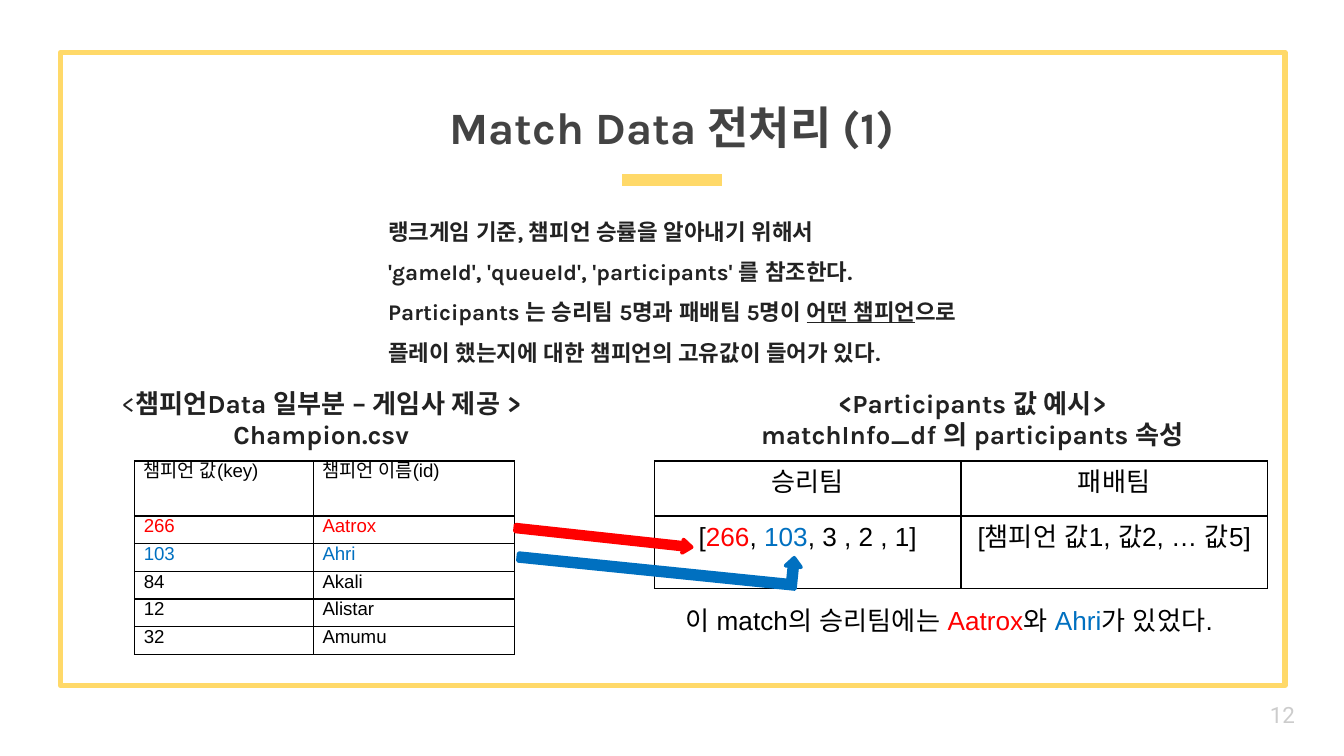
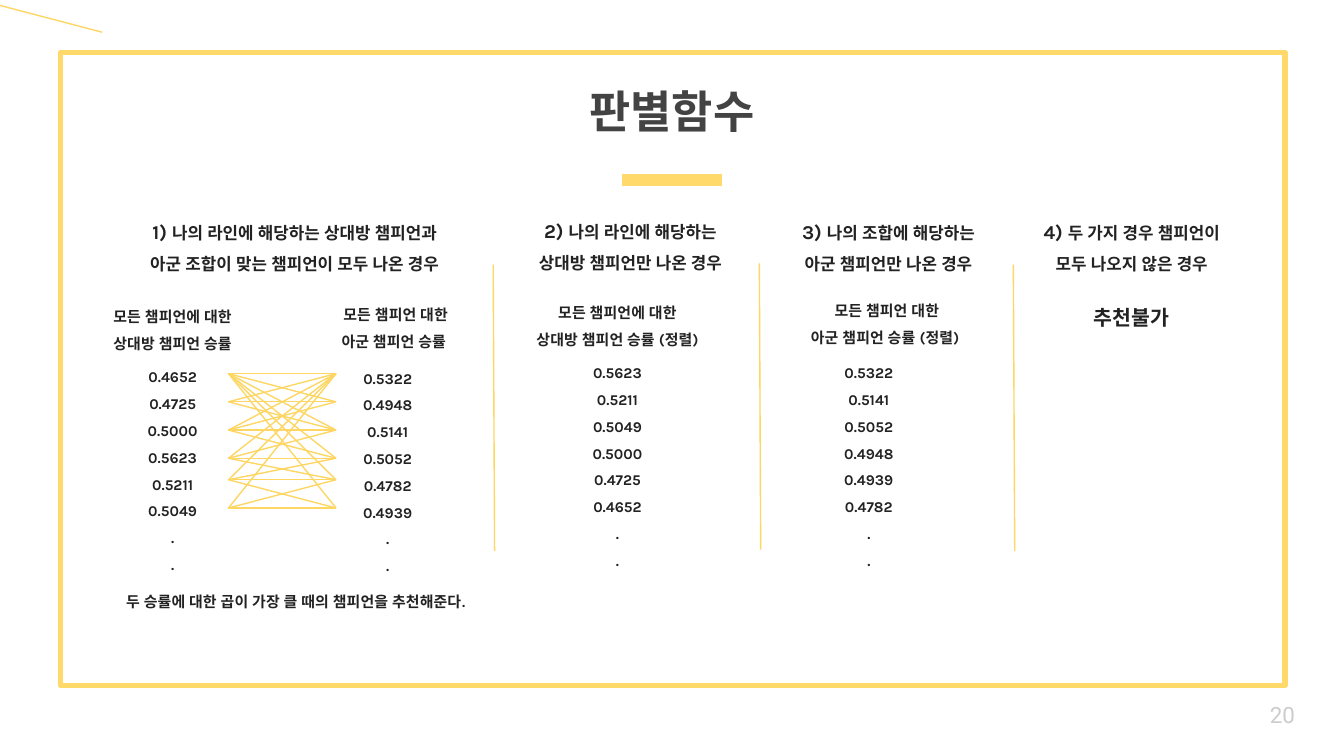
from dataclasses import dataclass

from lxml import etree
from pptx import Presentation
from pptx.dml.color import RGBColor
from pptx.enum.shapes import MSO_CONNECTOR, MSO_SHAPE
from pptx.enum.text import MSO_ANCHOR, MSO_AUTO_SIZE, PP_ALIGN
from pptx.oxml.ns import qn
from pptx.util import Inches, Pt

STRAIGHT = MSO_CONNECTOR.STRAIGHT
RECT, ARROW, BENT = MSO_SHAPE.RECTANGLE, MSO_SHAPE.RIGHT_ARROW, MSO_SHAPE.BENT_UP_ARROW
TOP, MIDDLE, BOTTOM = MSO_ANCHOR.TOP, MSO_ANCHOR.MIDDLE, MSO_ANCHOR.BOTTOM
NO_FIT = MSO_AUTO_SIZE.NONE
LEFT, CENTER, JUSTIFY = PP_ALIGN.LEFT, PP_ALIGN.CENTER, PP_ALIGN.JUSTIFY


@dataclass(frozen=True)
class Theme:
    frame: str = "FFD969"
    link: str = "FDD663"
    title: str = "434343"
    text: str = "222222"
    black: str = "000000"
    number: str = "CCCCCC"
    red: str = "FF0000"
    blue: str = "0070C0"
    heading_font: str = "Karla"
    plain_font: str = "Arial"
    number_font: str = "Roboto"
    title_size: float = 24
    caption_size: float = 14
    lead_size: float = 12
    number_size: float = 12
    verdict_size: float = 11
    ordinal_size: float = 10.5
    cell_size: float = 10
    case_size: float = 9
    value_size: float = 8


T = Theme()


def style(size, color=T.text, name=T.heading_font, bold=True):
    return {"size": size, "color": color, "name": name, "bold": bold}


TITLE = style(T.title_size, T.title)
CAPTION = style(T.caption_size)
LEAD = style(T.lead_size)
CASE = style(T.case_size)
VALUE = style(T.value_size)
VERDICT = style(T.verdict_size)
NUMBER = style(T.number_size, T.number, T.number_font, False)
CELL = style(T.cell_size, T.black, T.plain_font, False)
PLAIN = style(T.caption_size, T.black, T.plain_font, False)
RED, BLUE = {"color": T.red}, {"color": T.blue}

PAD = (0.1, 0.1)
CAPTION_INDENT = (0.15, 0)
HANGING = (0.5, -0.35)

CHAMPIONS = (
    ("챔피언 값(key)", "챔피언 이름(id)"),
    ("266", "Aatrox"),
    ("103", "Ahri"),
    ("84", "Akali"),
    ("12", "Alistar"),
    ("32", "Amumu"),
)
CHAMPION_ROW = (1.44 - 0.41) / 5
TEAMS = (
    ("승리팀", "패배팀"),
    (["[", ("266", RED), ", ", ("103", BLUE), ", 3 , 2 , 1]"],
     "[챔피언 값1, 값2, … 값5]"),
)
CASES = (
    (0.54, 1.45, 3.15, "1) ", "나의 라인에 해당하는 상대방 챔피언과", "아군 조합이 맞는 챔피언이 모두 나온 경우"),
    (3.53, 1.44, 2.17, "2) ", "나의 라인에 해당하는", "상대방 챔피언만 나온 경우"),
    (5.45, 1.45, 2.17, "3) ", "나의 조합에 해당하는", "아군 챔피언만 나온 경우"),
    (7.26, 1.45, 2.17, "4) ", "두 가지 경우 챔피언이", "모두 나오지 않은 경우"),
)
RATE_HEADINGS = (
    (0.37, 2.12, 1.68, "모든 챔피언에 대한", "상대방 챔피언 승률"),
    (2.03, 2.11, 1.68, "모든 챔피언 대한", "아군 챔피언 승률 "),
    (3.68, 2.09, 1.68, "모든 챔피언에 대한", "상대방 챔피언 승률 (정렬)"),
    (5.61, 2.08, 1.83, "모든 챔피언 대한", "아군 챔피언 승률 (정렬) "),
)
RATES = (
    (0.37, 2.57, "0.4652 0.4725 0.5000 0.5623 0.5211 0.5049 . ."),
    (1.97, 2.58, "0.5322 0.4948 0.5141 0.5052 0.4782 0.4939 . ."),
    (3.68, 2.54, "0.5623 0.5211 0.5049 0.5000 0.4725 0.4652 . ."),
    (5.55, 2.54, "0.5322 0.5141 0.5052 0.4948 0.4939 0.4782 . ."),
)
DIVIDERS = ((3.67, 1.97), (5.65, 1.96), (7.54, 1.97))
LINK_X = (1.7, 2.5)
LINK_Y = (2.78, 2.99, 3.2, 3.41, 3.57, 3.78)


def set_all(obj, values):
    for key, value in values.items():
        setattr(obj, key, value)


def rgb(color):
    return RGBColor.from_string(color)


def add_run(p, text, fmt):
    r = p.add_run()
    r.text = text
    values = dict(fmt)
    r.font.color.rgb = rgb(values.pop("color"))
    values["size"] = Pt(values["size"])
    set_all(r.font, values)
    etree.SubElement(r._r.get_or_add_rPr(), qn("a:ea"), typeface=fmt["name"])


def write(tf, lines, fmt, align=LEFT, indent=(0, 0), spacing=1.0):
    for i, line in enumerate(lines):
        p = tf.paragraphs[0] if i == 0 else tf.add_paragraph()
        set_all(p, {"alignment": align, "line_spacing": spacing, "space_before": Pt(0)})
        pPr = p._p.get_or_add_pPr()
        pPr.set("marL", str(Inches(indent[0])))
        pPr.set("indent", str(Inches(indent[1])))
        etree.SubElement(pPr, qn("a:buNone"))
        for part in [line] if isinstance(line, str) else line:
            text, change = (part, {}) if isinstance(part, str) else part
            add_run(p, text, {**fmt, **change})


def fill_text(s, box, lines, fmt, pad=PAD, anchor=TOP, **layout):
    left, top, width, height = map(Inches, box)
    set_all(s, {"left": left, "top": top, "width": width, "height": height})
    x, y = map(Inches, pad)
    set_all(s.text_frame, {
        "word_wrap": True, "auto_size": NO_FIT, "vertical_anchor": anchor,
        "margin_left": x, "margin_right": x, "margin_top": y, "margin_bottom": y,
    })
    write(s.text_frame, lines, fmt, **layout)


def add_text(slide, box, lines, fmt, **options):
    s = slide.shapes.add_textbox(*map(Inches, box))
    fill_text(s, box, lines, fmt, **options)


def add_hanging(slide, box, lines, fmt):
    add_text(slide, box, lines, fmt, align=CENTER, indent=HANGING, spacing=1.5)


def add_line(slide, start, end, color=T.link, width=0.75):
    s = slide.shapes.add_connector(STRAIGHT, *map(Inches, (*start, *end)))
    s.line.color.rgb = rgb(color)
    s.line.width = Pt(width)
    etree.SubElement(s._element.spPr, qn("a:effectLst"))


def add_outline(slide, kind, box, color, width, fill=None):
    s = slide.shapes.add_shape(kind, *map(Inches, box))
    s.shadow.inherit = False
    s.line.color.rgb = rgb(color)
    s.line.width = Pt(width)
    if fill:
        s.fill.solid()
        s.fill.fore_color.rgb = rgb(fill)
    else:
        s.fill.background()
    return s


def add_block_arrow(slide, kind, box, color, rotation, adjustments):
    s = add_outline(slide, kind, box, color, 2, color)
    s.rotation = rotation
    for i, value in enumerate(adjustments):
        s.adjustments[i] = value


def border_cell(cell):
    tcPr = cell._tc.get_or_add_tcPr()
    for i, side in enumerate(("lnL", "lnR", "lnT", "lnB")):
        ln = etree.Element(qn(f"a:{side}"), w=str(Pt(0.75)))
        fill = etree.SubElement(ln, qn("a:solidFill"))
        etree.SubElement(fill, qn("a:srgbClr"), val=T.black)
        tcPr.insert(i, ln)


def add_table(slide, left, top, widths, heights, rows, fmt, align, pad, row_colors):
    size = (sum(widths), sum(heights))
    table = slide.shapes.add_table(
        len(heights), len(widths), *map(Inches, (left, top, *size))).table
    set_all(table, {"first_row": False, "horz_banding": False})
    for column, width in zip(table.columns, widths):
        column.width = Inches(width)
    x, y = map(Inches, pad)
    for i, (row, height) in enumerate(zip(rows, heights)):
        table.rows[i].height = Inches(height)
        for j, content in enumerate(row):
            cell = table.cell(i, j)
            cell.fill.background()
            border_cell(cell)
            set_all(cell, {"margin_left": x, "margin_right": x,
                           "margin_top": y, "margin_bottom": y})
            write(cell.text_frame, [content], {**fmt, **row_colors.get(i, {})}, align)


def add_slide(prs, layout, title, title_box, number):
    slide = prs.slides.add_slide(prs.slide_layouts.get_by_name(layout))
    add_outline(slide, RECT, (0.45, 0.39, 9.11, 4.71), T.frame, 3)
    add_line(slide, (4.63, 1.34), (5.37, 1.34), T.frame, 6)
    fill_text(slide.shapes.title, title_box, [title], TITLE, anchor=BOTTOM, align=CENTER)
    add_text(slide, (9.35, 5.1, 0.6, 0.43), [number], NUMBER, anchor=MIDDLE)
    return slide


def build_match_data(prs):
    slide = add_slide(prs, "Title and Content", "Match Data 전처리 (1)", (0, 0.24, 10, 1), "12")
    captions = {"align": CENTER, "indent": CAPTION_INDENT}
    fill_text(slide.placeholders[1], (0.35, 2.78, 3.93, 0.31),
              [[("<", {"bold": False}), "챔피언Data 일부분 – 게임사 제공 >"], "Champion.csv"],
              CAPTION, **captions)
    add_table(slide, 4.87, 3.43, (2.28, 2.28), (0.41, 0.41), TEAMS,
              PLAIN, CENTER, (0.1, 0.05), {})
    add_table(slide, 1, 3.43, (1.33, 1.5), (0.41, *[CHAMPION_ROW] * 5), CHAMPIONS,
              CELL, JUSTIFY, (0.07, 0), {1: RED, 2: BLUE})
    add_text(slide, (5.26, 2.78, 3.8, 0.31),
             ["<Participants 값 예시>", "matchInfo_df 의 participants 속성"],
             CAPTION, **captions)
    add_text(slide, (5, 4.45, 4.2, 0.34),
             [["이 match의 승리팀에는 ", ("Aatrox", RED), "와 ", ("Ahri", BLUE), "가 있었다."]],
             PLAIN, pad=(0.1, 0.05))
    add_block_arrow(slide, BENT, (3.86, 4.05, 2.1, 0.23), T.blue, 5.8, (0.25, 0.25, 0.28))
    add_block_arrow(slide, ARROW, (3.83, 3.95, 1.32, 0.1), T.red, 6.2, (0.5, 0.66))
    add_text(slide, (2.79, 1.42, 5.02, 0.63), [
        "랭크게임 기준, 챔피언 승률을 알아내기 위해서",
        "'gameId', 'queueId', 'participants' 를 참조한다.",
        ["Participants 는 승리팀 5명과 패배팀 5명이 ", ("어떤 챔피언", {"underline": True}), "으로"],
        "플레이 했는지에 대한 챔피언의 고유값이 들어가 있다.",
    ], LEAD, spacing=1.5)


def build_decision(prs):
    slide = add_slide(prs, "Title Only", "판별함수", (0, 0.5, 10, 0.62), "20")
    add_line(slide, (-0.04, 0.03), (0.76, 0.24))
    for x, y in DIVIDERS:
        add_line(slide, (x, y), (x + 0.01, y + 2.13))
    for i, y1 in enumerate(LINK_Y):
        for j, y2 in enumerate(LINK_Y):
            if abs(i - j) <= 1 or min(i, j) == 0:
                add_line(slide, (LINK_X[0], y1), (LINK_X[1], y2))
    for x, y, width, ordinal, first, second in CASES:
        heading = [(ordinal, {"size": T.ordinal_size}), first]
        add_hanging(slide, (x, y, width, 0.63), [heading, second], CASE)
    for x, y, width, *lines in RATE_HEADINGS:
        add_hanging(slide, (x, y, width, 0.65), lines, VALUE)
    for x, y, values in RATES:
        add_hanging(slide, (x, y, 1.68, 0.65), values.split(), VALUE)
    add_hanging(slide, (0.15, 4.24, 3.95, 0.65),
                ["두 승률에 대한 곱이 가장 클 때의 챔피언을 추천해준다."], VALUE)
    add_hanging(slide, (7.43, 2.08, 1.83, 0.65), ["추천불가"], VERDICT)


def main():
    prs = Presentation()
    set_all(prs, {"slide_width": Inches(10), "slide_height": Inches(10) * 9 // 16})
    build_match_data(prs)
    build_decision(prs)
    prs.save("out.pptx")


if __name__ == "__main__":
    main()
